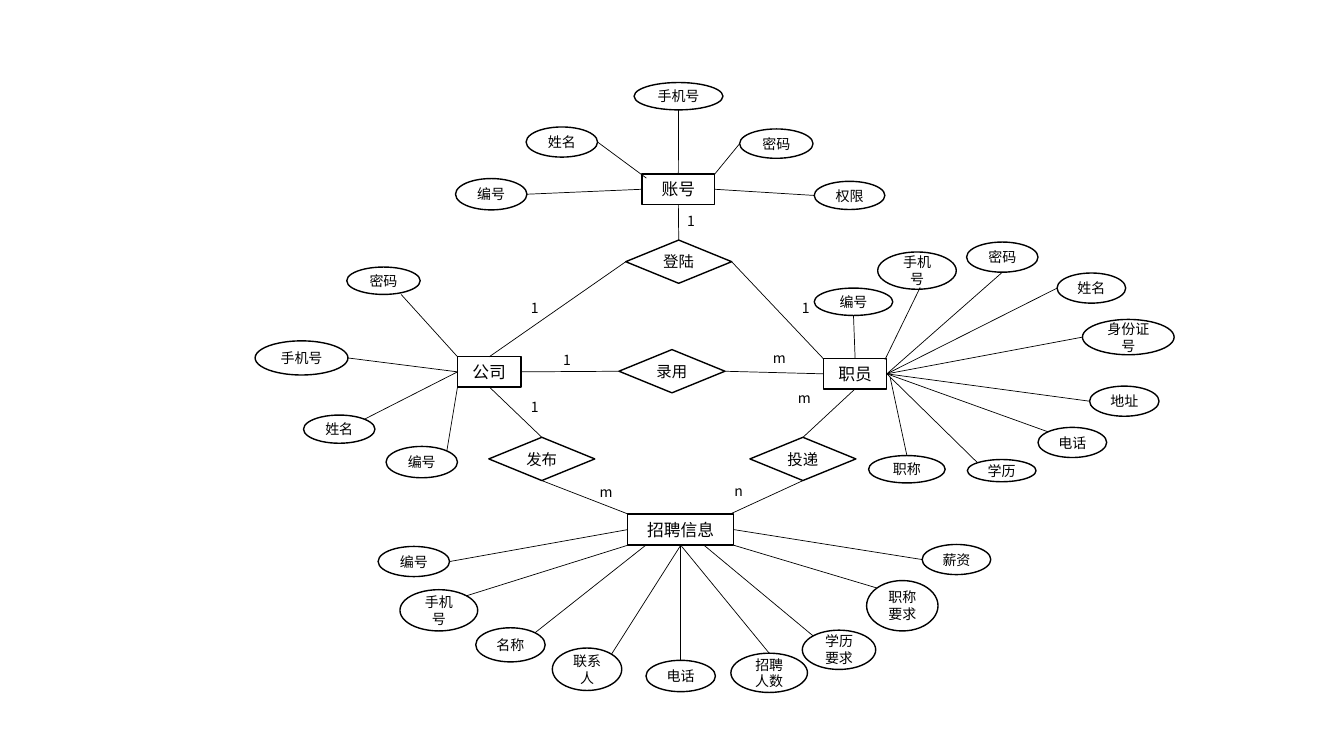
from typing import NamedTuple

from lxml import etree
from pptx import Presentation
from pptx import util as u
from pptx.dml.color import RGBColor
from pptx.enum import shapes, text
from pptx.oxml import ns

BLACK = RGBColor(0x00, 0x00, 0x00)
WHITE = RGBColor(0xFF, 0xFF, 0xFF)
FONT = "Noto Sans CJK SC"

Anchor = tuple[float, float]

TOP, BOTTOM, LEFT, RIGHT = (0.5, 0), (0.5, 1), (0, 0.5), (1, 0.5)
TOP_LEFT, TOP_RIGHT, BOTTOM_LEFT, BOTTOM_RIGHT = (0, 0), (1, 0), (0, 1), (1, 1)
ARC_TOP_LEFT, ARC_TOP_RIGHT = (0.15, 0.15), (0.85, 0.15)


class Node(NamedTuple):
    name: str
    left: float
    top: float
    width: float
    height: float

    def point(self, anchor: Anchor) -> tuple[u.Cm, u.Cm]:
        across, down = anchor
        return u.Cm(self.left + across * self.width), u.Cm(self.top + down * self.height)


class Attribute(NamedTuple):
    node: Node
    start: Anchor
    end: Anchor


class Link(NamedTuple):
    source: Node
    start: Anchor
    target: Node
    end: Anchor


class Cardinality(NamedTuple):
    mark: str
    left: float
    top: float


def relationship(name: str, left: float, top: float) -> Node:
    return Node(name, left, top, 2.67, 1.09)


ACCOUNT = Node("账号", 16.18, 4.39, 1.83, 0.76)
COMPANY = Node("公司", 11.53, 8.99, 1.6, 0.76)
EMPLOYEE = Node("职员", 20.75, 9.04, 1.6, 0.76)
VACANCY = Node("招聘信息", 15.82, 12.95, 2.67, 0.79)

LOGIN = relationship("登陆", 15.77, 6.05)
HIRE = relationship("录用", 15.6, 8.81)
PUBLISH = relationship("发布", 12.32, 11.02)
APPLY = relationship("投递", 18.9, 11.02)
RELATIONSHIPS = [LOGIN, HIRE, PUBLISH, APPLY]

LINKS = [
    Link(ACCOUNT, BOTTOM, LOGIN, TOP),
    Link(LOGIN, LEFT, COMPANY, TOP),
    Link(LOGIN, RIGHT, EMPLOYEE, TOP_LEFT),
    Link(COMPANY, RIGHT, HIRE, LEFT),
    Link(HIRE, RIGHT, EMPLOYEE, LEFT),
    Link(COMPANY, BOTTOM, PUBLISH, TOP),
    Link(EMPLOYEE, BOTTOM, APPLY, TOP),
    Link(PUBLISH, BOTTOM, VACANCY, TOP_LEFT),
    Link(APPLY, BOTTOM, VACANCY, (0.97, 0)),
]

CARDINALITIES = [
    Cardinality("1", 17.07, 5.23),
    Cardinality("1", 13.13, 7.42),
    Cardinality("1", 19.96, 7.42),
    Cardinality("1", 13.94, 8.74),
    Cardinality("m", 19.23, 8.69),
    Cardinality("1", 13.13, 9.91),
    Cardinality("m", 19.86, 9.68),
    Cardinality("m", 14.86, 12.07),
    Cardinality("n", 18.26, 12.04),
]

ATTRIBUTES = {
    ACCOUNT: [
        Attribute(Node("编号", 11.48, 4.5, 1.8, 0.79), RIGHT, LEFT),
        Attribute(Node("姓名", 13.26, 3.2, 1.8, 0.76), RIGHT, (0.06, 0.13)),
        Attribute(Node("手机号", 15.98, 2.08, 2.24, 0.69), BOTTOM, TOP),
        Attribute(Node("密码", 18.64, 3.25, 1.85, 0.74), LEFT, TOP_RIGHT),
        Attribute(Node("权限", 20.52, 4.57, 1.78, 0.71), LEFT, RIGHT),
    ],
    COMPANY: [
        Attribute(Node("密码", 8.74, 6.73, 1.85, 0.69), (0.74, 1), TOP_LEFT),
        Attribute(Node("手机号", 6.43, 8.59, 2.34, 0.86), RIGHT, LEFT),
        Attribute(Node("姓名", 7.65, 10.46, 1.8, 0.71), ARC_TOP_RIGHT, LEFT),
        Attribute(Node("编号", 9.73, 11.25, 1.8, 0.79), ARC_TOP_RIGHT, BOTTOM_LEFT),
    ],
    EMPLOYEE: [
        Attribute(Node("编号", 20.52, 7.26, 1.98, 0.69), BOTTOM, TOP),
        Attribute(Node("手机号", 22.12, 6.35, 1.98, 0.94), (0.54, 0.95), (0.97, 0.03)),
        Attribute(Node("密码", 24.36, 6.1, 1.8, 0.76), BOTTOM, RIGHT),
        Attribute(Node("姓名", 26.64, 6.88, 1.73, 0.76), LEFT, RIGHT),
        Attribute(Node("身份证号", 27.28, 8.05, 2.31, 0.89), LEFT, RIGHT),
        Attribute(Node("地址", 27.46, 9.73, 1.75, 0.76), LEFT, RIGHT),
        Attribute(Node("电话", 26.16, 10.77, 1.73, 0.76), ARC_TOP_LEFT, RIGHT),
        Attribute(Node("学历", 24.38, 11.58, 1.73, 0.56), ARC_TOP_LEFT, RIGHT),
        Attribute(Node("职称", 21.89, 11.48, 1.93, 0.69), TOP, (1.05, 0.6)),
    ],
    VACANCY: [
        Attribute(Node("编号", 9.53, 13.77, 1.8, 0.76), RIGHT, LEFT),
        Attribute(Node("手机号", 10.08, 14.86, 1.96, 1.04), ARC_TOP_RIGHT, BOTTOM_LEFT),
        Attribute(Node("名称", 11.99, 15.82, 1.75, 0.86), ARC_TOP_RIGHT, (0.17, 1)),
        Attribute(Node("联系人", 13.92, 16.33, 1.75, 1.07), ARC_TOP_RIGHT, BOTTOM),
        Attribute(Node("电话", 16.28, 16.64, 1.75, 0.79), TOP, BOTTOM),
        Attribute(Node("招聘人数", 18.42, 16.46, 1.93, 0.99), TOP, BOTTOM),
        Attribute(Node("学历要求", 20.22, 15.88, 1.85, 0.99), ARC_TOP_LEFT, (0.72, 1)),
        Attribute(Node("职称要求", 21.84, 14.63, 1.8, 1.27), ARC_TOP_LEFT, BOTTOM_RIGHT),
        Attribute(Node("薪资", 23.24, 13.72, 1.73, 0.76), LEFT, RIGHT),
    ],
}


def write(box, wording: str, size: int, align: text.PP_ALIGN) -> None:
    frame = box.text_frame
    frame.word_wrap = True
    frame.text = wording
    para = frame.paragraphs[0]
    para.alignment = align
    span = para.runs[0]
    span.font.size = u.Pt(size)
    span.font.color.rgb = BLACK
    span.font.name = FONT
    east_asian = etree.SubElement(span._r.get_or_add_rPr(), ns.qn("a:ea"))
    east_asian.set("typeface", FONT)


def draw_node(page, node: Node, kind: shapes.MSO_SHAPE, size: int) -> None:
    box = page.shapes.add_shape(kind, *map(u.Cm, node[1:]))
    box.shadow.inherit = False
    box.fill.solid()
    box.fill.fore_color.rgb = WHITE
    box.line.color.rgb = BLACK
    box.line.width = u.Pt(1)
    box.text_frame.vertical_anchor = text.MSO_ANCHOR.MIDDLE
    write(box, node.name, size, text.PP_ALIGN.CENTER)


def draw_link(page, link: Link) -> None:
    line = page.shapes.add_connector(
        shapes.MSO_CONNECTOR.STRAIGHT,
        *link.source.point(link.start),
        *link.target.point(link.end),
    )
    line.line.color.rgb = BLACK
    line.line.width = u.Pt(0.5)
    etree.SubElement(line._element.spPr, ns.qn("a:effectLst"))


def draw_cardinality(page, label: Cardinality) -> None:
    box = page.shapes.add_textbox(u.Cm(label.left), u.Cm(label.top), u.Cm(0.71), u.Cm(0.69))
    write(box, label.mark, 10, text.PP_ALIGN.LEFT)
    box.text_frame.auto_size = text.MSO_AUTO_SIZE.SHAPE_TO_FIT_TEXT


def main() -> None:
    deck = Presentation()
    deck.slide_width, deck.slide_height = u.Cm(33.87), u.Cm(19.05)
    page = deck.slides.add_slide(deck.slide_layouts[6])
    for node in RELATIONSHIPS:
        draw_node(page, node, shapes.MSO_SHAPE.DIAMOND, 11)
    for entity, attributes in ATTRIBUTES.items():
        draw_node(page, entity, shapes.MSO_SHAPE.RECTANGLE, 12)
        for attribute in attributes:
            draw_node(page, attribute.node, shapes.MSO_SHAPE.OVAL, 10)
            draw_link(page, Link(attribute.node, attribute.start, entity, attribute.end))
    for link in LINKS:
        draw_link(page, link)
    for label in CARDINALITIES:
        draw_cardinality(page, label)
    deck.save("out.pptx")


if __name__ == "__main__":
    main()
